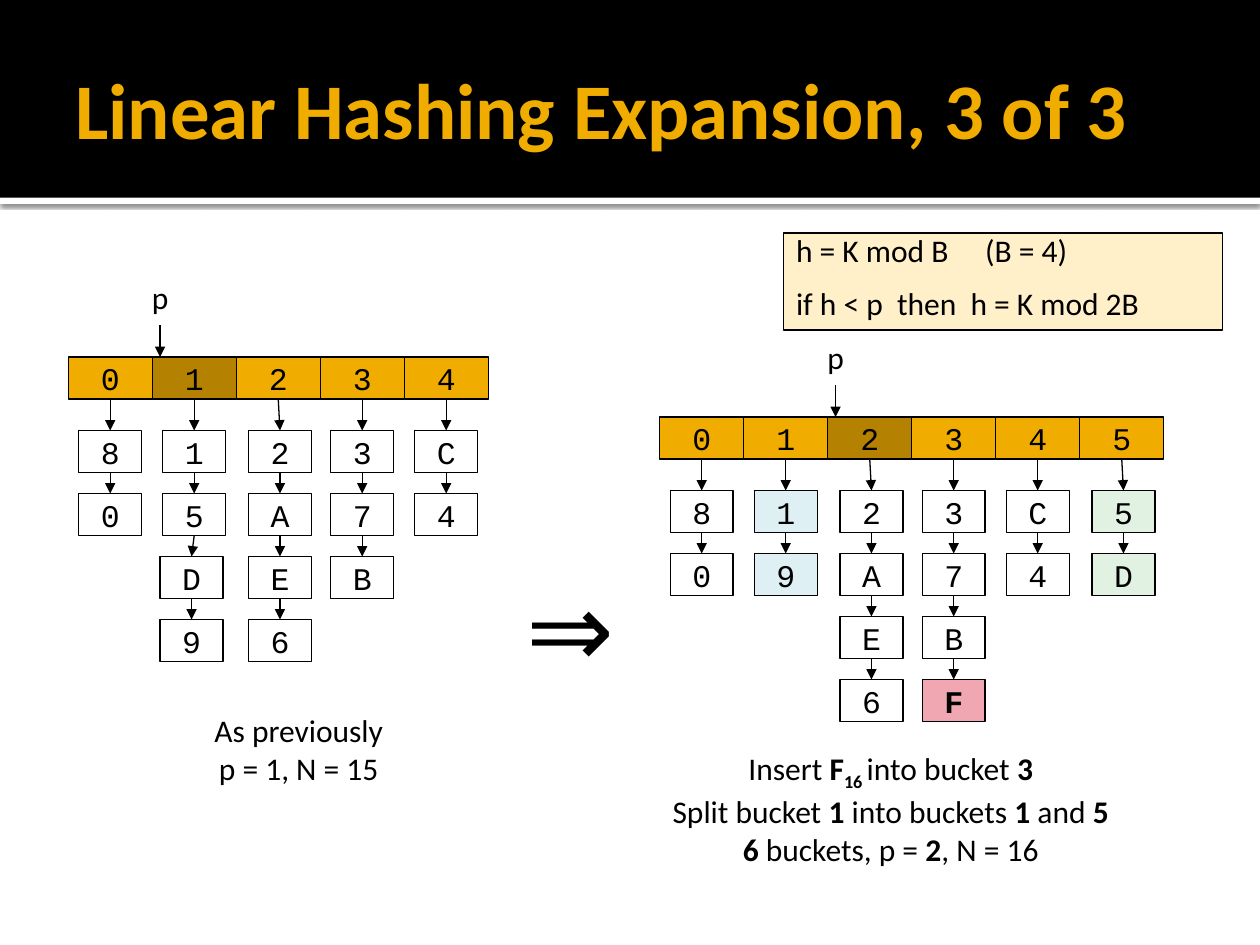
from lxml import etree
from pptx import Presentation
from pptx.dml.color import RGBColor
from pptx.enum.shapes import MSO_CONNECTOR, MSO_SHAPE
from pptx.enum.text import MSO_ANCHOR, PP_ALIGN
from pptx.oxml.ns import qn
from pptx.util import Pt

RECT = MSO_SHAPE.RECTANGLE
LINE = MSO_CONNECTOR.STRAIGHT
LEFT, MID = PP_ALIGN.LEFT, PP_ALIGN.CENTER
TOP, CENTER = MSO_ANCHOR.TOP, MSO_ANCHOR.MIDDLE
HUES = {
    "black": "000000", "white": "FFFFFF", "gold": "F0AD00", "dark": "B48200",
    "cream": "FFF0C9", "blue": "DFF0F5", "green": "E1F1E2", "pink": "F0A7B1",
}
SANS, MONO = "Calibri", "Courier New"
WIDE, SLIM, HIGH = 48, 36, 24
DROP, STEP = 42, 36
SHIFTS = [6, 54, 103, 150, 198, 247]


def color(name):
    return RGBColor.from_string(HUES[name])


class Deck:
    def __init__(self, slide):
        self.shapes = slide.shapes

    def words(self, frame, paras, size=18, font=SANS, hue="black",
              align=MID, anchor=CENTER, wrap=False):
        frame.word_wrap = wrap
        frame.vertical_anchor = anchor
        for i, runs in enumerate(paras):
            para = frame.paragraphs[0] if i == 0 else frame.add_paragraph()
            para.alignment = align
            for text, look in runs:
                run = para.add_run()
                run.text = text
                run.font.size = Pt(size)
                run.font.name = font
                run.font.bold = "b" in look
                run.font.color.rgb = color(hue)
                if "s" in look:
                    run.font._element.set("baseline", "-25000")
        return frame

    def text(self, x, y, w, h, paras, **style):
        box = self.shapes.add_textbox(Pt(x), Pt(y), Pt(w), Pt(h))
        return self.words(box.text_frame, paras, **style)

    def box(self, x, y, w, h, fill=None, edge=True):
        shape = self.shapes.add_shape(RECT, Pt(x), Pt(y), Pt(w), Pt(h))
        shape.shadow.inherit = False
        if fill:
            shape.fill.solid()
            shape.fill.fore_color.rgb = color(fill)
        else:
            shape.fill.background()
        if edge:
            shape.line.color.rgb = color("black")
            shape.line.width = Pt(0.75)
        else:
            shape.line.fill.background()
        return shape

    def cell(self, x, y, w, label, fill=None, look=""):
        shape = self.box(x, y, w, HIGH, fill)
        self.words(shape.text_frame, [[(label, look)]], font=MONO)
        return shape

    def arrow(self, x, y, end):
        line = self.shapes.add_connector(LINE, Pt(x), Pt(y), Pt(x), Pt(end))
        line.line.color.rgb = color("black")
        line.line.width = Pt(0.75)
        props = line._element.spPr
        tail = etree.SubElement(props.find(qn("a:ln")), qn("a:tailEnd"))
        tail.set("type", "triangle")
        etree.SubElement(props, qn("a:effectLst"))
        return line

    def link(self, above, below):
        line = self.arrow(0, 0, 0)
        line.begin_connect(above, 2)
        line.end_connect(below, 0)

    def shade(self, shape):
        glow = etree.SubElement(
            shape._element.spPr.find(qn("a:effectLst")), qn("a:outerShdw"),
            blurRad=str(Pt(2.5)), dist=str(Pt(0.8)), dir="5400000")
        tint = etree.SubElement(glow, qn("a:srgbClr"), val=HUES["black"])
        etree.SubElement(tint, qn("a:alpha"), val="60000")

    def table(self, x, y, split, chains, fills=None, skew=None):
        fills, skew = fills or {}, skew or {}
        for i, chain in enumerate(chains):
            hue = "dark" if i == split else "gold"
            last = self.cell(x + i * WIDE, y, WIDE, str(i), hue)
            for j, key in enumerate(chain):
                look = "b" if key == "F" else ""
                item = self.cell(
                    x + SHIFTS[i] + skew.get(key, 0), y + DROP + j * STEP,
                    SLIM, key, fills.get((i, key)), look)
                self.link(last, item)
                last = item
        point = x + split * WIDE + 4.5
        self.text(point - 13.3, y - 52.5, 26.6, 36, [[("p", "")]])
        self.arrow(point, y - 18, y)


def main():
    show = Presentation()
    show.slide_width, show.slide_height = Pt(720), Pt(540)
    deck = Deck(show.slides.add_slide(show.slide_layouts[6]))

    deck.shade(deck.box(0, 113, 720, 3.6, "white", edge=False))
    deck.box(0, 0, 720, 113, "black", edge=False)
    title = deck.text(36, 12.2, 648, 98.6,
                      [[("Linear Hashing Expansion, 3 of 3", "b")]],
                      size=45, hue="gold", align=LEFT, wrap=True)
    title.margin_right = Pt(3.6)

    deck.table(39, 204, 1, ["80", "15D9", "2AE6", "37B", "C4"],
               skew={"D": -1.5, "9": -1.5})
    deck.text(113.8, 402.5, 113.8, 51,
              [[("As previously", "")], [("p = 1, N = 15", "")]])

    deck.text(293.8, 318, 66.2, 80, [[("⇒", "")]],
              size=60, align=LEFT, anchor=TOP, wrap=True)

    deck.table(377, 238.3, 2, ["80", "19", "2AE6", "37BF", "C4", "5D"],
               fills={(1, "1"): "blue", (1, "9"): "blue", (3, "F"): "pink",
                      (5, "5"): "green", (5, "D"): "green"})
    deck.text(375.8, 425.5, 266.4, 72.7, [
        [("Insert ", ""), ("F", "b"), ("16 ", "bs"),
         ("into bucket ", ""), ("3", "b")],
        [("Split bucket ", ""), ("1", "b"), (" into buckets ", ""),
         ("1", "b"), (" and ", ""), ("5", "b")],
        [("6", "b"), (" buckets, p = ", ""), ("2", "b"), (", N = 16", "")],
    ])

    rule = deck.box(447.8, 133.2, 250.6, 55.4, "cream")
    frame = deck.words(rule.text_frame, [
        [("h = K mod B\t(B = 4)", "")],
        [("if h < p  then  h = K mod 2B", "")],
    ], align=LEFT, wrap=True)
    frame.paragraphs[0].line_spacing = 0.7
    frame.paragraphs[1].space_before = Pt(9)

    show.save("out.pptx")


if __name__ == "__main__":
    main()
